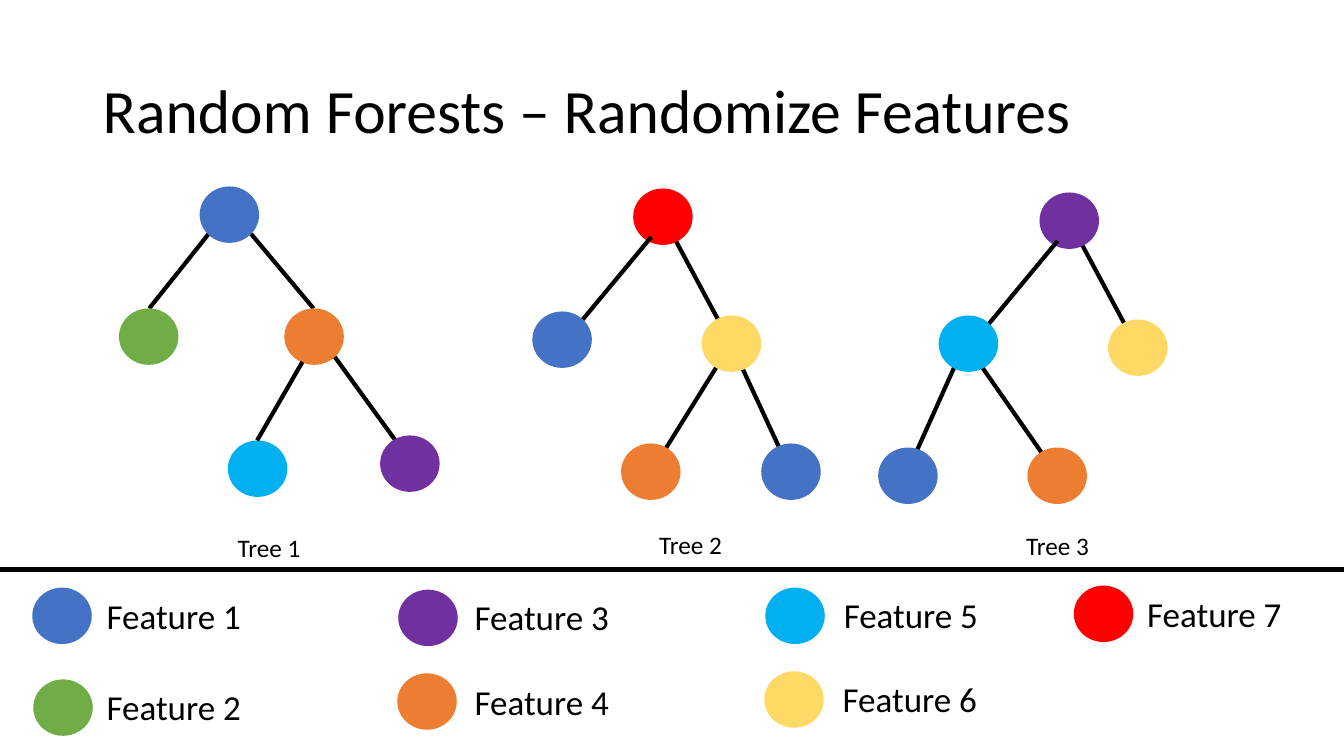
from lxml.etree import SubElement
from pptx import Presentation
from pptx.dml.color import RGBColor
from pptx.enum.shapes import MSO_CONNECTOR, MSO_SHAPE
from pptx.enum.text import MSO_ANCHOR
from pptx.oxml.ns import qn
from pptx.util import Inches, Pt

COLORS = {
    "ink": "000000",
    "blue": "4472C4",
    "green": "70AD47",
    "purple": "7030A0",
    "orange": "ED7D31",
    "cyan": "00B0F0",
    "yellow": "FFD966",
    "red": "FF0000",
}

TREES = [
    {
        "name": ("Tree 1", 2.26, 5.23),
        "under": [
            (3.32, 3.54, 4.09, 4.6),
            (2.07, 2.32, 1.48, 3.06),
            (2.49, 2.32, 3.11, 3.06),
        ],
        "nodes": [
            ("blue", 1.98, 1.85),
            ("green", 1.18, 3.06),
            ("orange", 2.82, 3.06),
            ("purple", 3.77, 4.32),
            ("cyan", 2.26, 4.37),
        ],
        "over": (3, 3.59, 2.55, 4.37),
    },
    {
        "name": ("Tree 2", 6.44, 5.2),
        "under": [
            (7.25, 3.41, 6.46, 4.68),
            (7.25, 3.41, 7.84, 4.68),
            (6.58, 2.16, 7.25, 3.41),
        ],
        "nodes": [
            ("red", 6.28, 1.87),
            ("blue", 5.28, 3.09),
            ("yellow", 6.96, 3.13),
            ("blue", 7.55, 4.4),
            ("orange", 6.16, 4.4),
        ],
        "over": (6.46, 2.35, 5.78, 3.17),
    },
    {
        "name": ("Tree 3", 10.08, 5.21),
        "under": [
            (9.6, 3.44, 10.49, 4.72),
            (9.57, 3.41, 8.91, 4.88),
            (10.61, 2.2, 11.28, 3.45),
        ],
        "nodes": [
            ("purple", 10.31, 1.91),
            ("cyan", 9.31, 3.13),
            ("yellow", 10.99, 3.17),
            ("blue", 8.71, 4.44),
            ("orange", 10.19, 4.44),
        ],
        "over": (10.49, 2.39, 9.81, 3.21),
    },
]

LEGEND = [
    ("blue", 0.32, 5.83, 0.96, 5.85),
    ("green", 0.33, 6.74, 0.96, 6.75),
    ("purple", 3.95, 5.85, 4.61, 5.86),
    ("orange", 3.94, 6.68, 4.61, 6.7),
    ("cyan", 7.59, 5.83, 8.27, 5.84),
    ("yellow", 7.58, 6.66, 8.26, 6.67),
    ("red", 10.65, 5.81, 11.28, 5.83),
]


def color(name):
    return RGBColor.from_string(COLORS[name])


def add_dot(slide, name, left, top):
    dot = slide.shapes.add_shape(
        MSO_SHAPE.OVAL, Inches(left), Inches(top), Inches(0.59), Inches(0.56)
    )
    dot.shadow.inherit = False
    dot.fill.solid()
    dot.fill.fore_color.rgb = color(name)
    dot.line.fill.background()


def add_line(slide, *ends):
    line = slide.shapes.add_connector(MSO_CONNECTOR.STRAIGHT, *map(Inches, ends))
    line.line.color.rgb = color("ink")
    line.line.width = Pt(3)
    SubElement(line._element.spPr, qn("a:effectLst"))


def add_text(slide, text, size, left, top, width, height, wrap=False):
    box = slide.shapes.add_textbox(*map(Inches, (left, top, width, height)))
    frame = box.text_frame
    frame.word_wrap = wrap
    run = frame.paragraphs[0].add_run()
    run.text = text
    run.font.name = "Calibri"
    run.font.size = Pt(size)
    run.font.color.rgb = color("ink")
    return frame


def add_title(slide, text):
    frame = add_text(slide, text, 44, 0.92, 0.4, 11.5, 1.45, wrap=True)
    frame.vertical_anchor = MSO_ANCHOR.MIDDLE
    frame.paragraphs[0].line_spacing = 0.9


def add_tree(slide, tree):
    for edge in tree["under"]:
        add_line(slide, *edge)
    for node in tree["nodes"]:
        add_dot(slide, *node)
    add_line(slide, *tree["over"])
    name, left, top = tree["name"]
    add_text(slide, name, 18, left, top, 0.83, 0.4)


def add_legend(slide):
    for number, (name, left, top, text_left, text_top) in enumerate(LEGEND, 1):
        add_dot(slide, name, left, top)
        add_text(slide, f"Feature {number}", 25, text_left, text_top, 1.55, 0.52)


def main():
    deck = Presentation()
    deck.slide_width = Inches(13.33)
    deck.slide_height = Inches(7.5)
    slide = deck.slides.add_slide(deck.slide_layouts[6])
    add_title(slide, "Random Forests – Randomize Features")
    for tree in TREES:
        add_tree(slide, tree)
    add_line(slide, 0, 5.65, 13.33, 5.65)
    add_legend(slide)
    deck.save("out.pptx")


if __name__ == "__main__":
    main()
